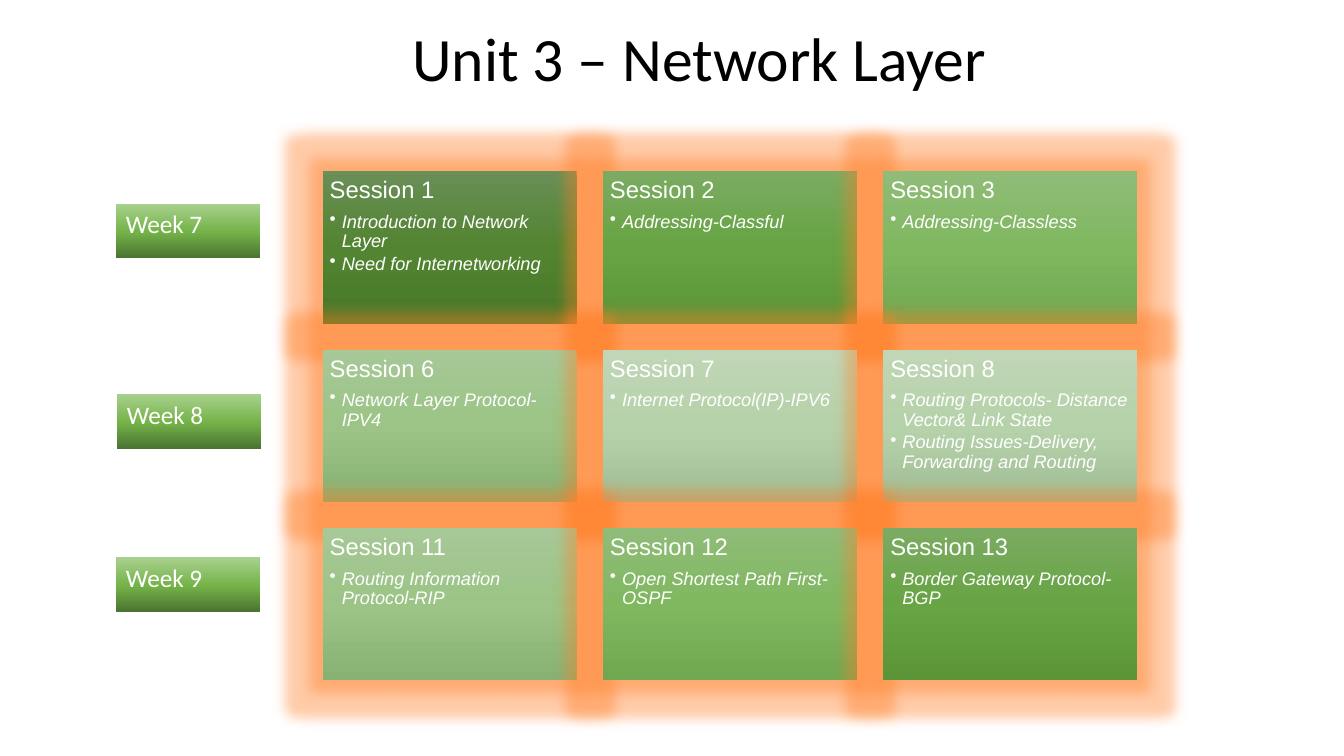
import copy
from dataclasses import dataclass

import pptx
import pptx.dml.color
import pptx.enum.shapes
import pptx.enum.text
import pptx.oxml
import pptx.oxml.ns
import pptx.shapes.autoshape
import pptx.slide
import pptx.text.text
import pptx.util

EMU_PER_PX = 9144  # 100 px to the inch


@dataclass(frozen=True)
class Gradient:
    """Colours from top to bottom, with the place of the middle one."""
    top: str
    middle: str
    bottom: str
    middle_at: float = 0.5


@dataclass(frozen=True)
class Theme:
    title_color: str = "000000"
    text_color: str = "FFFFFF"
    glow_color: str = "FF7F27"
    glow_opacity: int = 40
    glow_pt: int = 18
    heading_font: str = "Calibri"
    card_font: str = "Arial"
    title_pt: int = 44
    week_pt: int = 18
    session_pt: int = 17
    topic_pt: int = 13
    week: Gradient = Gradient("A9D18E", "74B349", "4B7430", 0.52)
    darkest: Gradient = Gradient("6A8F57", "528431", "487828")
    dark: Gradient = Gradient("7BAB62", "67A443", "5B9537")
    medium: Gradient = Gradient("8FBC78", "80B860", "70A851")
    light: Gradient = Gradient("A7C897", "9BC486", "88B174")
    lightest: Gradient = Gradient("C0D6B6", "B6D2AA", "A1BD95")


THEME = Theme()


@dataclass(frozen=True)
class Session:
    number: int
    shade: Gradient
    topics: tuple[str, ...]


@dataclass(frozen=True)
class Week:
    number: int
    left: int
    top: int
    sessions: tuple[Session, ...]


WEEKS = (
    Week(7, 115, 202, (
        Session(1, THEME.darkest, ("Introduction to Network Layer", "Need for Internetworking")),
        Session(2, THEME.dark, ("Addressing-Classful",)),
        Session(3, THEME.medium, ("Addressing-Classless",)),
    )),
    Week(8, 116, 391, (
        Session(6, THEME.light, ("Network Layer Protocol-IPV4",)),
        Session(7, THEME.lightest, ("Internet Protocol(IP)-IPV6",)),
        Session(8, THEME.lightest, ("Routing Protocols- Distance Vector& Link State",
                                    "Routing Issues-Delivery, Forwarding and Routing")),
    )),
    Week(9, 115, 553, (
        Session(11, THEME.light, ("Routing Information Protocol-RIP",)),
        Session(12, THEME.medium, ("Open Shortest Path First-OSPF",)),
        Session(13, THEME.dark, ("Border Gateway Protocol-BGP",)),
    )),
)

GRID_LEFT, GRID_TOP = 320, 170
CARD_WIDTH, CARD_HEIGHT = 252, 151
COLUMN_GAP, ROW_GAP = 26, 26
CARD_INSET = 7
BULLET_INDENT = 12


def px(length: int) -> pptx.util.Emu:
    return pptx.util.Emu(length * EMU_PER_PX)


def rgb(color: str) -> pptx.dml.color.RGBColor:
    return pptx.dml.color.RGBColor.from_string(color)


def add_run(paragraph: pptx.text.text._Paragraph, text: str, font: str, size: int,
            color: str, italic: bool = False) -> None:
    run = paragraph.add_run()
    run.text = text
    run.font.name = font
    run.font.size = pptx.util.Pt(size)
    run.font.color.rgb = rgb(color)
    run.font.italic = italic


def add_bullet(paragraph: pptx.text.text._Paragraph) -> None:
    properties = paragraph._p.get_or_add_pPr()
    properties.set("marL", str(px(BULLET_INDENT)))
    properties.set("indent", str(-px(BULLET_INDENT)))
    properties.append(pptx.oxml.parse_xml(
        f'<a:buChar {pptx.oxml.ns.nsdecls("a")} char="•"/>'))


def add_glow(shape: pptx.shapes.autoshape.Shape) -> None:
    effects = shape._element.spPr.find(pptx.oxml.ns.qn("a:effectLst"))
    effects.append(pptx.oxml.parse_xml(
        f'<a:glow {pptx.oxml.ns.nsdecls("a")} rad="{pptx.util.Pt(THEME.glow_pt)}">'
        f'<a:srgbClr val="{THEME.glow_color}">'
        f'<a:alpha val="{THEME.glow_opacity * 1000}"/></a:srgbClr></a:glow>'))


def add_panel(slide: pptx.slide.Slide, left: int, top: int, width: int, height: int,
              shade: Gradient) -> pptx.shapes.autoshape.Shape:
    panel = slide.shapes.add_shape(pptx.enum.shapes.MSO_SHAPE.RECTANGLE,
                                   px(left), px(top), px(width), px(height))
    panel.shadow.inherit = False
    panel.line.fill.background()
    panel.fill.gradient()
    panel.fill.gradient_angle = 270
    first_stop = panel.fill._xPr.find(".//" + pptx.oxml.ns.qn("a:gs"))
    first_stop.addnext(copy.deepcopy(first_stop))
    colors = (shade.top, shade.middle, shade.bottom)
    for stop, position, color in zip(panel.fill.gradient_stops, (0, shade.middle_at, 1), colors):
        stop.position = position
        stop.color.rgb = rgb(color)
    panel.text_frame.word_wrap = True
    panel.text_frame.vertical_anchor = pptx.enum.text.MSO_ANCHOR.TOP
    panel.text_frame.paragraphs[0].alignment = pptx.enum.text.PP_ALIGN.LEFT
    return panel


def add_session(slide: pptx.slide.Slide, session: Session, left: int, top: int) -> None:
    card = add_panel(slide, left, top, CARD_WIDTH, CARD_HEIGHT, session.shade)
    add_glow(card)
    frame = card.text_frame
    frame.margin_left = frame.margin_right = px(CARD_INSET)
    frame.margin_top = frame.margin_bottom = px(CARD_INSET)
    heading = frame.paragraphs[0]
    heading.line_spacing = 0.9
    heading.space_after = pptx.util.Pt(6)
    add_run(heading, f"Session {session.number}", THEME.card_font,
            THEME.session_pt, THEME.text_color)
    for topic in session.topics:
        item = frame.add_paragraph()
        add_bullet(item)
        item.level = 1
        item.alignment = pptx.enum.text.PP_ALIGN.LEFT
        item.line_spacing = 0.9
        item.space_after = pptx.util.Pt(2)
        add_run(item, topic, THEME.card_font, THEME.topic_pt, THEME.text_color, italic=True)


def add_week(slide: pptx.slide.Slide, week: Week) -> None:
    label = add_panel(slide, week.left, week.top, 143, 54, THEME.week)
    add_run(label.text_frame.paragraphs[0], f"Week {week.number}", THEME.heading_font,
            THEME.week_pt, THEME.text_color)


def add_title(slide: pptx.slide.Slide, text: str) -> None:
    title = slide.shapes.add_textbox(px(399), px(16), px(627), px(90)).text_frame
    title.word_wrap = True
    title.vertical_anchor = pptx.enum.text.MSO_ANCHOR.MIDDLE
    title.paragraphs[0].alignment = pptx.enum.text.PP_ALIGN.LEFT
    title.paragraphs[0].line_spacing = 0.9
    add_run(title.paragraphs[0], text, THEME.heading_font, THEME.title_pt, THEME.title_color)


def main() -> None:
    presentation = pptx.Presentation()
    presentation.slide_width, presentation.slide_height = px(1333), px(750)
    slide = presentation.slides.add_slide(presentation.slide_layouts[6])

    add_title(slide, "Unit 3 – Network Layer")

    # Session grid, one row per week
    for row, week in enumerate(WEEKS):
        for column, session in enumerate(week.sessions):
            add_session(slide, session,
                        GRID_LEFT + column * (CARD_WIDTH + COLUMN_GAP),
                        GRID_TOP + row * (CARD_HEIGHT + ROW_GAP))

    # Week labels beside the grid
    for week in WEEKS:
        add_week(slide, week)

    presentation.save("out.pptx")


if __name__ == "__main__":
    main()
